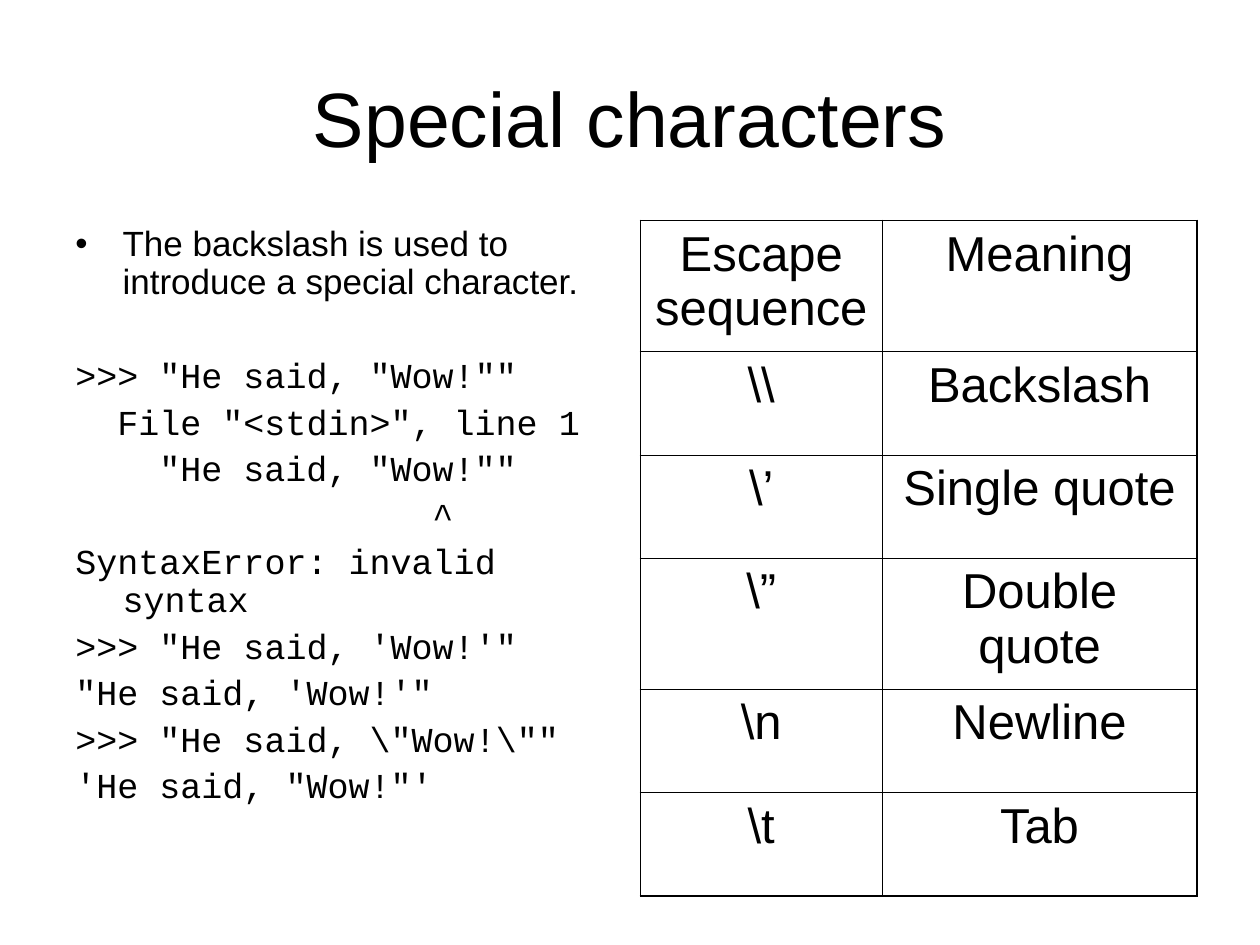
from pptx import Presentation
from pptx.dml.color import RGBColor
from pptx.enum.text import MSO_ANCHOR, PP_ALIGN
from pptx.oxml.ns import qn
from pptx.util import Pt
from lxml.etree import SubElement

LEFT, CENTER = PP_ALIGN.LEFT, PP_ALIGN.CENTER
TOP, MIDDLE = MSO_ANCHOR.TOP, MSO_ANCHOR.MIDDLE
BLANK_LAYOUT = 6
HANGING = 27
CHARACTER_WIDTH = 12

CODE_LINES = [
    (0, '>>> "He said, "Wow!""'),
    (2, 'File "<stdin>", line 1'),
    (4, '"He said, "Wow!""'),
    (17, "^"),
    (0, "SyntaxError: invalid syntax"),
    (0, ">>> \"He said, 'Wow!'\""),
    (0, "\"He said, 'Wow!'\""),
    (0, r'>>> "He said, \"Wow!\""'),
    (0, "'He said, \"Wow!\"'"),
]

ESCAPES = [
    ("Escape sequence", "Meaning"),
    (r"\\", "Backslash"),
    (r"\’", "Single quote"),
    (r"\”", "Double quote"),
    (r"\n", "Newline"),
    (r"\t", "Tab"),
]


def color(hex_string):
    return RGBColor.from_string(hex_string)


def write(paragraph, text, size, font="Arial", ink="000000", align=LEFT,
          before=0, spacing=1.0, margin=0, indent=0, bullet=None):
    paragraph.alignment = align
    paragraph.line_spacing = spacing
    paragraph.space_before = Pt(before)
    run = paragraph.add_run()
    run.text = text
    run.font.size = Pt(size)
    run.font.name = font
    run.font.color.rgb = color(ink)
    properties = paragraph._p.get_or_add_pPr()
    properties.set("marL", str(Pt(margin)))
    properties.set("indent", str(Pt(indent)))
    if bullet:
        SubElement(properties, qn("a:buFont"), typeface="Arial")
        SubElement(properties, qn("a:buChar"), char=bullet)


class SlideBuilder:
    ink = "000000"
    outer_line = 1.08
    inner_line = 0.45

    def __init__(self, slide):
        self.slide = slide

    def text_box(self, left, top, width, height, paragraphs, anchor=TOP):
        shape = self.slide.shapes.add_textbox(Pt(left), Pt(top), Pt(width), Pt(height))
        frame = shape.text_frame
        frame.word_wrap = True
        frame.vertical_anchor = anchor
        for index, (text, style) in enumerate(paragraphs):
            paragraph = frame.add_paragraph() if index else frame.paragraphs[0]
            write(paragraph, text, ink=self.ink, **style)

    def border(self, cell, side, width):
        properties = cell._tc.get_or_add_tcPr()
        line = SubElement(properties, qn(f"a:ln{side}"), w=str(Pt(width)))
        fill = SubElement(line, qn("a:solidFill"))
        SubElement(fill, qn("a:srgbClr"), val=self.ink)

    def table(self, left, top, widths, heights, rows, **style):
        shape = self.slide.shapes.add_table(
            len(rows), len(widths), Pt(left), Pt(top), Pt(sum(widths)), Pt(sum(heights)))
        table = shape.table
        table.first_row = table.horz_banding = False
        for column, width in zip(table.columns, widths):
            column.width = Pt(width)
        for row, height in zip(table.rows, heights):
            row.height = Pt(height)
        for row_index, texts in enumerate(rows):
            for column_index, text in enumerate(texts):
                cell = table.cell(row_index, column_index)
                outer_sides = {
                    "L": column_index == 0,
                    "R": column_index == len(widths) - 1,
                    "T": row_index == 0,
                    "B": row_index == len(rows) - 1,
                }
                for side, is_outer in outer_sides.items():
                    self.border(cell, side, self.outer_line if is_outer else self.inner_line)
                cell.fill.background()
                write(cell.text_frame.paragraphs[0], text, ink=self.ink, **style)


def main():
    presentation = Presentation()
    presentation.slide_width, presentation.slide_height = Pt(720), Pt(540)
    layout = presentation.slide_layouts[BLANK_LAYOUT]
    builder = SlideBuilder(presentation.slides.add_slide(layout))

    builder.text_box(36, 21.6, 648, 90,
                     [("Special characters", dict(size=44, align=CENTER))], anchor=MIDDLE)

    body = dict(size=20, spacing=0.9, indent=-HANGING)
    paragraphs = [("The backslash is used to introduce a special character.",
                   dict(body, before=5, margin=HANGING, bullet="•"))]
    for index, (column, text) in enumerate(CODE_LINES):
        paragraphs.append((text, dict(
            body, font="Courier New", before=5 if index else 32,
            margin=HANGING + column * CHARACTER_WIDTH)))
    builder.text_box(36, 126, 318, 356.4, paragraphs)

    builder.table(366, 126, [138, 180], [75, 59, 59, 75, 59, 59], ESCAPES,
                  size=28, align=CENTER, before=7)
    presentation.save("out.pptx")


if __name__ == "__main__":
    main()
